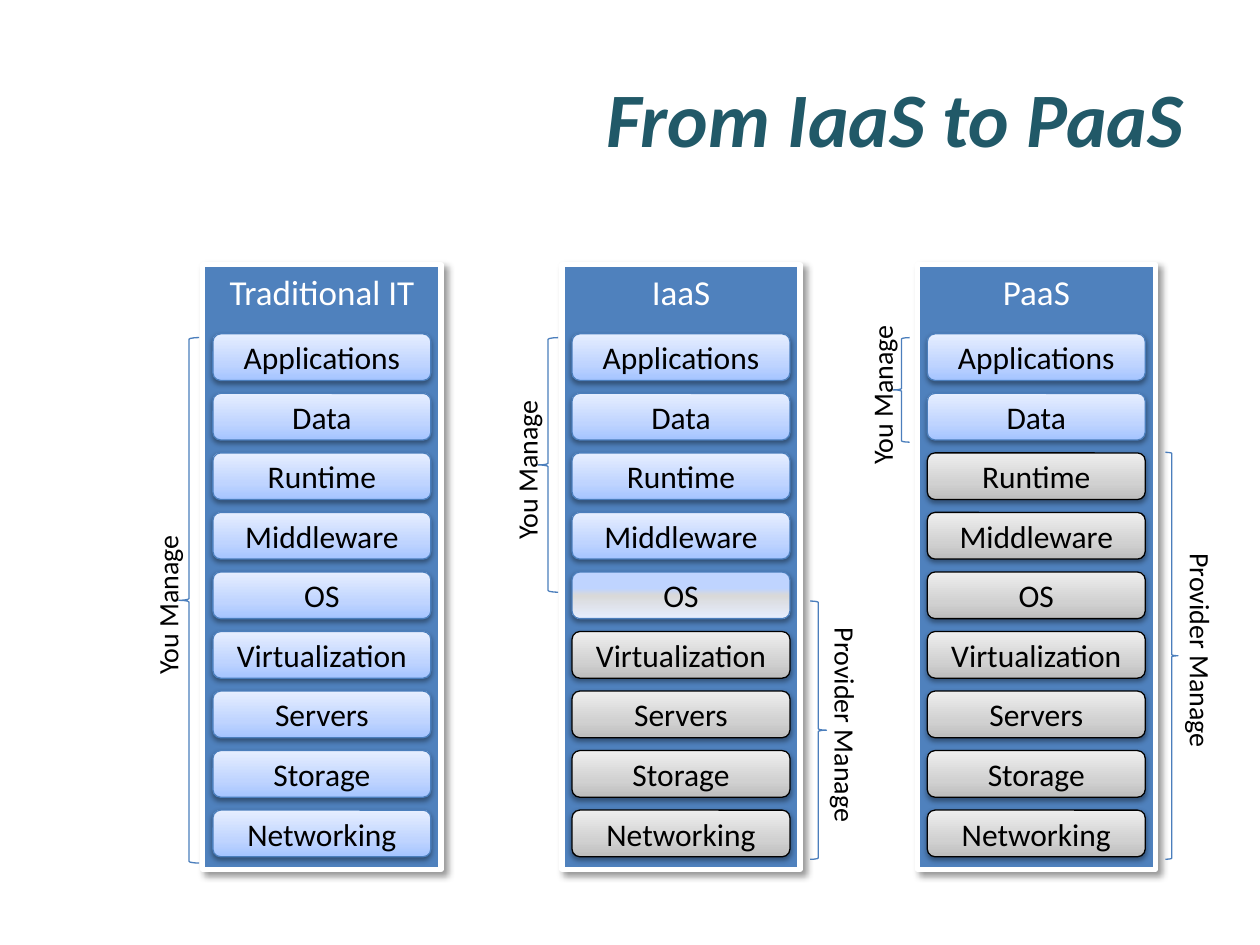
from pptx import Presentation
from pptx.dml.color import RGBColor as RGB
from pptx.enum.shapes import MSO_SHAPE as Shape
from pptx.enum.text import MSO_ANCHOR as Anchor, MSO_AUTO_SIZE as Fit, PP_ALIGN as Align
from pptx.oxml import parse_xml
from pptx.oxml.ns import nsdecls
from pptx.util import Inches, Pt

TEAL = RGB(0x21, 0x59, 0x68)
BLUE = RGB(0x4F, 0x81, 0xBD)
EDGE = RGB(0x4B, 0x7E, 0xBC)
WHITE = RGB(0xFF, 0xFF, 0xFF)
BLACK = RGB(0, 0, 0)
PALE = RGB(0xBF, 0xD4, 0xFF)
MIST = RGB(0xE6, 0xEE, 0xFF)

# Owner: gradient stops, angle, line colour
STYLES = {
    "you": ([(0, RGB(0xA4, 0xC4, 0xFF)), (35, PALE), (100, MIST)], 270, EDGE),
    "both": ([(35, PALE), (50, RGB(0xD9, 0xD9, 0xD9)), (100, MIST)], 90, EDGE),
    "provider": ([(0, RGB(0xBD, 0xBD, 0xBD)), (35, RGB(0xD1, 0xD1, 0xD1)),
                  (100, RGB(0xEE, 0xEE, 0xEE))], 270, BLACK),
}
LAYERS = ["Applications", "Data", "Runtime", "Middleware", "OS",
          "Virtualization", "Servers", "Storage", "Networking"]
# Name, left, owners from the top layer down, braces as (owner, top, width, height)
MODELS = [
    ("Traditional IT", 1.61, ["you"] * 9, [("you", 2.68, 0.16, 4.17)]),
    ("IaaS", 4.46, ["you"] * 4 + ["both"] + ["provider"] * 4,
     [("you", 2.68, 0.16, 2.02), ("provider", 4.77, 0.13, 2.05)]),
    ("PaaS", 7.28, ["you"] * 2 + ["provider"] * 7,
     [("you", 2.68, 0.13, 0.83), ("provider", 3.59, 0.1, 3.23)]),
]
# Owner: brace shape, label, label width, rotation, brace offset, label centre, label drop
SIDES = {
    "you": (Shape.LEFT_BRACE, "You Manage", 1.32, 270, -0.19, -0.28, 0.03),
    "provider": (Shape.RIGHT_BRACE, "Provider Manage", 1.76, 90, 1.97, 2.25, -0.03),
}
TOP, WIDE, HIGH = 2.1, 1.89, 4.8
PAD, BOX = 0.08, 0.37
FIRST, LAST = 2.65, 6.43
PITCH = (LAST - FIRST) / (len(LAYERS) - 1)


def write(shape, text, size, color=BLACK, align=Align.CENTER, anchor=Anchor.MIDDLE,
          bold=False, italic=False):
    frame = shape.text_frame
    frame.vertical_anchor = anchor
    para = frame.paragraphs[0]
    para.alignment = align
    run = para.add_run()
    run.text = text
    font = run.font
    font.name, font.size, font.bold, font.italic = "Calibri", Pt(size), bold, italic
    font.color.rgb = color


def draw(group, kind, x, y, w, h, line, weight=0.75):
    shape = group.shapes.add_shape(kind, Inches(x), Inches(y), Inches(w), Inches(h))
    shape.fill.background()
    shape.line.color.rgb = line
    shape.line.width = Pt(weight)
    shape.shadow.inherit = False
    return shape


def shade(shape, alpha, blur, dist, angle):
    """Give the shape an outer shadow."""
    shape.element.spPr.find("{*}effectLst").append(parse_xml(
        f'<a:outerShdw {nsdecls("a")} blurRad="{Pt(blur)}" dist="{Pt(dist)}" '
        f'dir="{angle * 60000}" rotWithShape="0"><a:srgbClr val="000000">'
        f'<a:alpha val="{alpha * 1000}"/></a:srgbClr></a:outerShdw>'))


def blend(shape, stops, angle):
    """Fill the shape with a linear gradient."""
    marks = "".join(f'<a:gs pos="{pos * 1000}"><a:srgbClr val="{color}"/></a:gs>'
                    for pos, color in stops)
    props = shape.element.spPr
    props.replace(props.find("{*}noFill"), parse_xml(
        f'<a:gradFill {nsdecls("a")} rotWithShape="1"><a:gsLst>{marks}</a:gsLst>'
        f'<a:lin ang="{angle * 60000}" scaled="0"/></a:gradFill>'))


def add_brace(group, left, owner, top, width, height):
    kind, text, size, turn, shift, mid, drop = SIDES[owner]
    draw(group, kind, left + shift, top, width, height, EDGE)
    x = left + mid - size / 2
    y = top + height / 2 + drop - BOX / 2
    label = group.shapes.add_textbox(Inches(x), Inches(y), Inches(size), Inches(BOX))
    label.rotation = turn
    label.text_frame.word_wrap = False
    label.text_frame.auto_size = Fit.SHAPE_TO_FIT_TEXT
    write(label, text, 16, align=Align.LEFT, anchor=Anchor.TOP)


def add_model(slide, name, left, owners, braces):
    group = slide.shapes.add_group_shape()
    panel = draw(group, Shape.RECTANGLE, left, TOP, WIDE, HIGH, WHITE, 3)
    panel.fill.solid()
    panel.fill.fore_color.rgb = BLUE
    shade(panel, 40, 4, 3, 45)
    write(panel, name, 20, color=WHITE, anchor=Anchor.TOP)
    for row, (layer, owner) in enumerate(zip(LAYERS, owners)):
        stops, angle, line = STYLES[owner]
        box = draw(group, Shape.ROUNDED_RECTANGLE, left + PAD, FIRST + row * PITCH,
                   WIDE - 2 * PAD, BOX, line)
        blend(box, stops, angle)
        shade(box, 38, 3.1, 1.6, 90)
        write(box, layer, 18)
    for brace in braces:
        add_brace(group, left, *brace)


def main():
    deck = Presentation()
    deck.slide_width, deck.slide_height = Inches(10), Inches(7.5)
    slide = deck.slides.add_slide(deck.slide_layouts[5])
    title = slide.shapes.title
    title.left, title.top = Inches(0.5), Inches(0.3)
    title.width, title.height = Inches(9), Inches(1.25)
    write(title, "From IaaS to PaaS", 44, color=TEAL, align=Align.RIGHT,
          bold=True, italic=True)
    for model in MODELS:
        add_model(slide, *model)
    deck.save("out.pptx")


if __name__ == "__main__":
    main()
